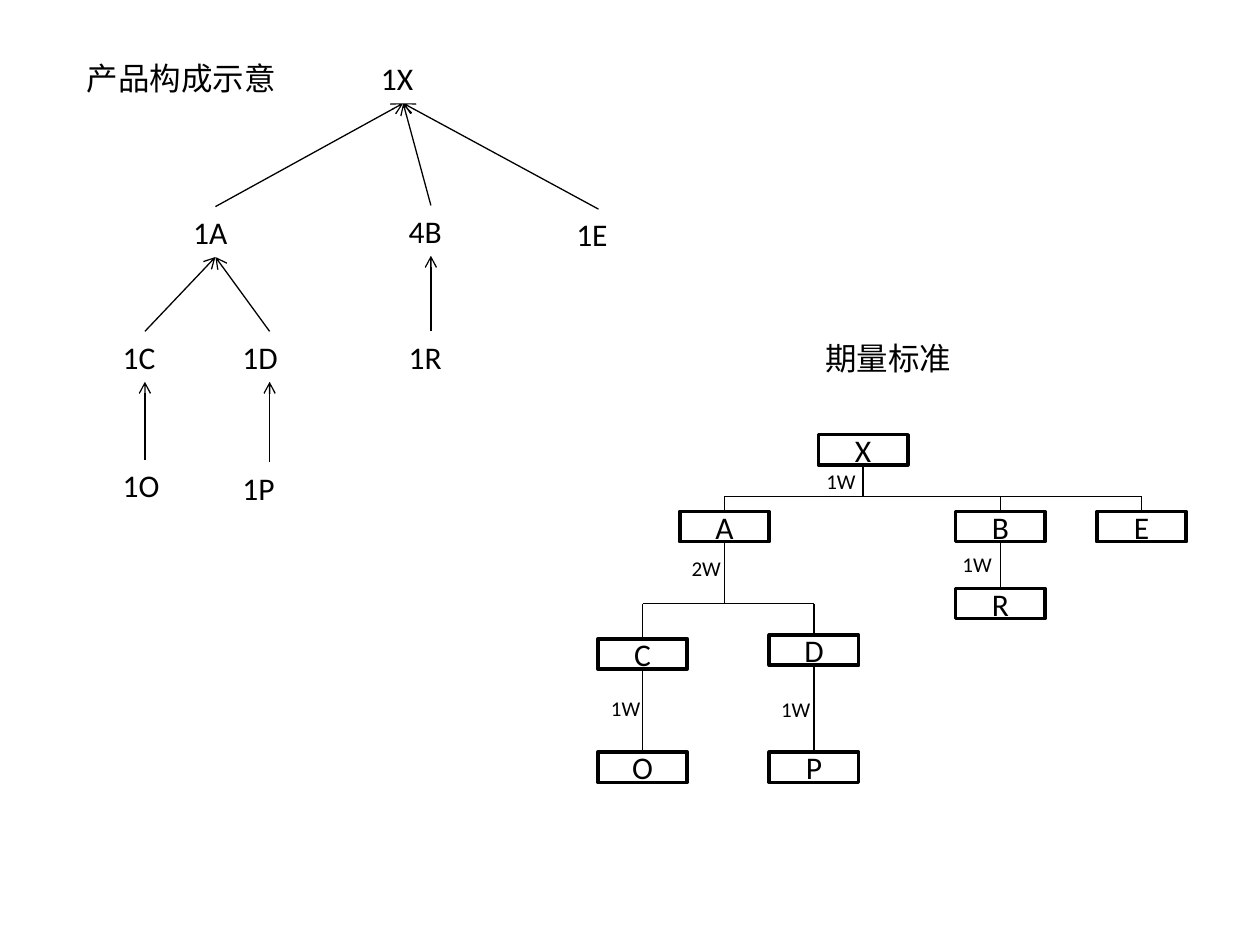
from dataclasses import dataclass

from lxml import etree
from pptx import Presentation
from pptx.dml.color import RGBColor
from pptx.enum.shapes import MSO_CONNECTOR, MSO_SHAPE
from pptx.enum.text import MSO_ANCHOR, MSO_AUTO_SIZE, PP_ALIGN
from pptx.oxml.ns import qn
from pptx.util import Inches, Pt

RECT = MSO_SHAPE.RECTANGLE
LINE = MSO_CONNECTOR.STRAIGHT
GROW = MSO_AUTO_SIZE.SHAPE_TO_FIT_TEXT
MIDDLE = MSO_ANCHOR.MIDDLE
CENTER = PP_ALIGN.CENTER


@dataclass(frozen=True)
class Theme:
    font: str = "Calibri"
    ink: RGBColor = RGBColor(0, 0, 0)
    paper: RGBColor = RGBColor(255, 255, 255)
    large: int = 18
    small: int = 12
    thin: float = 0.75
    thick: float = 2


THEME = Theme()

# Grid of 100 columns by 75 rows on a 10 by 7.5 inch slide
COLS, ROWS = 100, 75
CELL = Inches(10) // COLS

# Sizes in cells
ROW, NOTE = 4, (5.1, 3)
BOX = (7.1, 2.4)

# Headings: text, left, top
HEADS = [("产品构成示意", 5.9, 4.2), ("期量标准", 64.5, 26.4)]
HEAD = 17.3

# Product tree: name -> (centre, top, width, parent)
PARTS = {
    "1X": (32, 4.2, 5.5, None),
    "1A": (17.1, 16.4, 5.5, "1X"),
    "4B": (34.2, 16.3, 5.5, "1X"),
    "1E": (47.5, 16.6, 5.5, "1X"),
    "1C": (11.5, 26.3, 5.5, "1A"),
    "1D": (21.4, 26.3, 6.3, "1A"),
    "1R": (34.2, 26.3, 5.5, "4B"),
    "1O": (11.5, 36.5, 5.5, "1C"),
    "1P": (21.4, 36.7, 6.3, "1D"),
}

# Lead-time boxes: name -> (centre, top)
BOXES = {
    "X": (68.5, 34.5),
    "A": (57.5, 40.6), "B": (79.4, 40.6), "E": (90.6, 40.6),
    "C": (51, 50.7), "D": (64.6, 50.4), "R": (79.4, 46.7),
    "O": (51, 59.7), "P": (64.6, 59.7),
}

# Links: parent, children, height of the crossbar
LINKS = [
    ("X", "ABE", 39.4),
    ("A", "CD", 47.9),
    ("B", "R", None),
    ("C", "O", None),
    ("D", "P", None),
]

# Lead times: text, left, top
TIMES = [
    ("1W", 64.6, 36.7), ("2W", 53.9, 43.6), ("1W", 75.4, 43.3),
    ("1W", 47.5, 54.7), ("1W", 61, 54.8),
]


def cells(*nums):
    return [round(n * CELL) for n in nums]


def style(frame, text, size):
    frame.text = text
    frame.word_wrap = True
    font = frame.paragraphs[0].runs[0].font
    font.name = THEME.font
    font.size = Pt(size)
    font.color.rgb = THEME.ink


def label(slide, text, x, y, w, h, size=THEME.large):
    frame = slide.shapes.add_textbox(*cells(x, y, w, h)).text_frame
    style(frame, text, size)
    frame.auto_size = GROW


def box(slide, text, mid, top):
    wide, high = BOX
    shape = slide.shapes.add_shape(RECT, *cells(mid - wide / 2, top, wide, high))
    shape.shadow.inherit = False
    shape.fill.solid()
    shape.fill.fore_color.rgb = THEME.paper
    shape.line.color.rgb = THEME.ink
    shape.line.width = Pt(THEME.thick)
    style(shape.text_frame, text, THEME.large)
    shape.text_frame.vertical_anchor = MIDDLE
    shape.text_frame.paragraphs[0].alignment = CENTER


def line(slide, start, end, arrow=False):
    link = slide.shapes.add_connector(LINE, *cells(*start, *end))
    link.line.color.rgb = THEME.ink
    link.line.width = Pt(THEME.thin)
    props = link._element.spPr
    if arrow:
        etree.SubElement(props.find(qn("a:ln")), qn("a:tailEnd"), type="arrow")
    etree.SubElement(props, qn("a:effectLst"))


def tree(slide):
    # Each arrow runs from the top of a part to the foot of its parent
    for name, (mid, top, wide, up) in PARTS.items():
        label(slide, name, mid - wide / 2, top, wide, ROW)
        if up:
            line(slide, (mid, top), (PARTS[up][0], PARTS[up][1] + ROW), True)


def chart(slide):
    for name, (mid, top) in BOXES.items():
        box(slide, name, mid, top)
    for up, kids, bar in LINKS:
        mid, foot = BOXES[up][0], BOXES[up][1] + BOX[1]
        ends = [BOXES[kid] for kid in kids]
        if bar is None:
            line(slide, (mid, foot), ends[0])
            continue
        # Stem, crossbar and one drop for each child
        line(slide, (mid, foot), (mid, bar))
        line(slide, (ends[0][0], bar), (ends[-1][0], bar))
        for x, y in ends:
            line(slide, (x, bar), (x, y))
    for text, x, y in TIMES:
        label(slide, text, x, y, *NOTE, THEME.small)


def main():
    deck = Presentation()
    deck.slide_width, deck.slide_height = COLS * CELL, ROWS * CELL
    slide = deck.slides.add_slide(deck.slide_layouts[6])
    tree(slide)
    chart(slide)
    for text, x, y in HEADS:
        label(slide, text, x, y, HEAD, ROW)
    deck.save("out.pptx")


if __name__ == "__main__":
    main()
